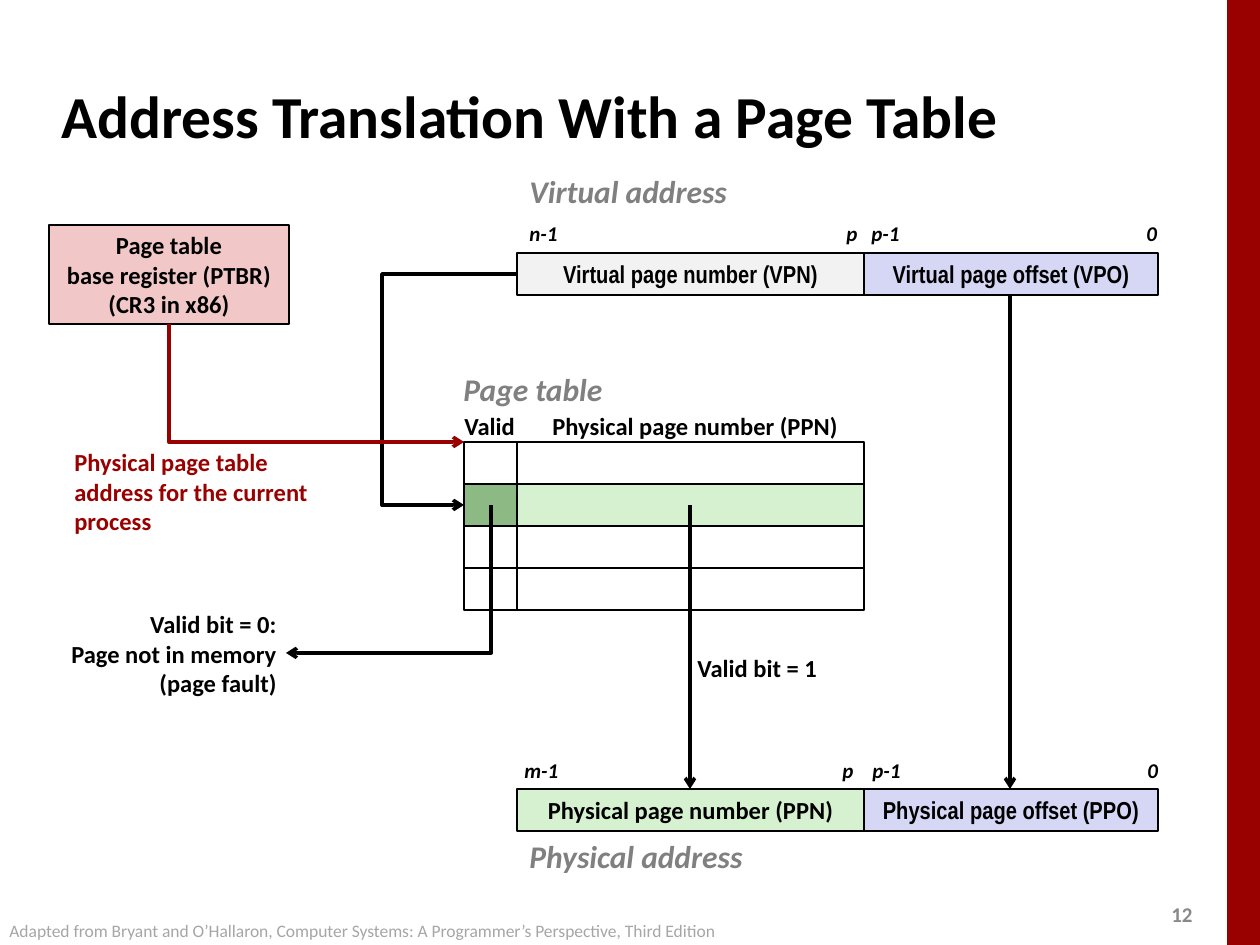
"""Build the slide on address translation with a page table."""
from pptx import Presentation
from pptx import util as u
from pptx.dml.color import RGBColor
from pptx.enum import shapes, text
from pptx.oxml import ns, xmlchemy

PX = 914400 / 126
BLACK, GREY, RED = "000000", "808080", "990000"
GREEN, BLUE = "D5F1CF", "D6D6F5"
LEFT, RIGHT = text.PP_ALIGN.LEFT, text.PP_ALIGN.RIGHT
CENTER = text.PP_ALIGN.CENTER
NARROW = "Arial Narrow"
LEFT_X, MID_X, SPLIT_X, END_X = 464, 517, 864, 1158
ROW_H = 42
TABLE_Y, VIRT_Y, PHYS_Y = 442, 253, 789


def px(num):
    """Turn pixels into EMU."""
    return u.Emu(round(num * PX))


def paint(color, code):
    """Set a colour from a hex string."""
    color.rgb = RGBColor.from_string(code)


def write(frame, lines, size, code=BLACK, align=LEFT, font="Calibri",
          bold=True, slant=False):
    """Write each line as a paragraph with one run."""
    for i, line in enumerate(lines):
        para = frame.paragraphs[0] if i == 0 else frame.add_paragraph()
        para.alignment = align
        run = para.add_run()
        run.text = line
        run.font.name, run.font.size = font, u.Pt(size)
        run.font.bold, run.font.italic = bold, slant
        paint(run.font.color, code)


def label(slide, box, lines, size, **style):
    """Add a text box that does not wrap."""
    frame = slide.shapes.add_textbox(*map(px, box)).text_frame
    frame.word_wrap = False
    write(frame, lines, size, **style)


def rect(slide, box, fill=None, lines=(), edge=BLACK, font="Calibri"):
    """Add a rectangle with centred text."""
    shape = slide.shapes.add_shape(shapes.MSO_SHAPE.RECTANGLE, *map(px, box))
    shape.shadow.inherit = False
    if fill:
        shape.fill.solid()
        paint(shape.fill.fore_color, fill)
    else:
        shape.fill.background()
    if edge:
        paint(shape.line.color, edge)
        shape.line.width = u.Pt(1)
    else:
        shape.line.fill.background()
    shape.text_frame.vertical_anchor = text.MSO_ANCHOR.MIDDLE
    write(shape.text_frame, lines, 14, align=CENTER, font=font)


def arrow(slide, tip, tail, code=BLACK, bend=None, adj=None):
    """Add a straight or bent connector with its arrowhead at the tip."""
    kind = shapes.MSO_CONNECTOR.ELBOW if bend else shapes.MSO_CONNECTOR.STRAIGHT
    line = slide.shapes.add_connector(kind, *map(px, tip + tail))
    paint(line.line.color, code)
    line.line.width = u.Pt(2)
    props = line._element.spPr
    if bend:
        geom = props.find(ns.qn("a:prstGeom"))
        geom.set("prst", bend)
        if adj is not None:
            guide = xmlchemy.OxmlElement("a:gd")
            guide.set("name", "adj1")
            guide.set("fmla", f"val {round(adj * 100000)}")
            geom.find(ns.qn("a:avLst")).append(guide)
    head = xmlchemy.OxmlElement("a:headEnd")
    head.set("type", "arrow")
    props.find(ns.qn("a:ln")).append(head)
    props.append(xmlchemy.OxmlElement("a:effectLst"))


def title(slide, line):
    """Place and format the title."""
    shape = slide.shapes.title
    shape.left, shape.top, shape.width, shape.height = map(
        px, (49, 62, 1046, 105))
    shape.text_frame.vertical_anchor = text.MSO_ANCHOR.MIDDLE
    write(shape.text_frame, [line], 34)


def fields(slide, top, names, fills, fonts):
    """Draw an address as a page number and an offset."""
    edges = (MID_X, SPLIT_X, END_X)
    for x, end, name, fill, font in zip(edges, edges[1:], names, fills, fonts):
        rect(slide, (x, top, end - x, ROW_H), fill, [name], font=font)


def bits(slide, top, marks):
    """Label the bit positions above an address."""
    for x, mark in marks:
        wide = 66 if len(mark) > 1 else 42
        label(slide, (x, top, wide, 38), [mark], 12, slant=True)


def table(slide):
    """Draw the page table rows, the second one selected."""
    for row in range(4):
        y = TABLE_Y + row * ROW_H
        pick = row == 1
        rect(slide, (MID_X, y, SPLIT_X - MID_X, ROW_H), GREEN if pick else None)
        rect(slide, (LEFT_X, y, MID_X - LEFT_X, ROW_H),
             "8DBA84" if pick else None)


def flows(slide):
    """Draw the arrows between the parts."""
    hit_y = TABLE_Y + ROW_H * 3 // 2
    arrow(slide, (LEFT_X, hit_y), (MID_X, VIRT_Y + ROW_H // 2),
          bend="bentConnector3", adj=(382 - LEFT_X) / (MID_X - LEFT_X))
    arrow(slide, (1010, PHYS_Y), (1010, VIRT_Y + ROW_H))
    arrow(slide, (690, PHYS_Y), (690, hit_y))
    arrow(slide, (286, 653), (491, hit_y), bend="bentConnector2")
    arrow(slide, (LEFT_X, TABLE_Y), (169, 324), RED, "bentConnector2")


def main():
    """Build and save the slide."""
    deck = Presentation()
    deck.slide_width, deck.slide_height = px(1260), px(945)
    slide = deck.slides.add_slide(deck.slide_layouts[5])
    rect(slide, (1227, 0, 33, 945), RED, edge=None)
    label(slide, (1159, 895, 50, 38), ["12"], 12, code="898989")
    title(slide, "Address Translation With a Page Table")

    fields(slide, VIRT_Y,
           ("Virtual page number (VPN)", "Virtual page offset (VPO)"),
           ("F2F2F2", BLUE), (NARROW, NARROW))
    fields(slide, PHYS_Y,
           ("Physical page number (PPN)", "Physical page offset (PPO)"),
           (GREEN, BLUE), ("Calibri", NARROW))
    table(slide)
    rect(slide, (49, 225, 240, 99), "F1C7C7",
         ["Page table", "base register (PTBR)", "(CR3 in x86)"])
    flows(slide)

    for x, y, wide, name in ((517, 166, 224, "Virtual address"),
                             (451, 364, 179, "Page table"),
                             (517, 831, 241, "Physical address")):
        label(slide, (x, y, wide, 50), [name], 18, code=GREY, slant=True)
    for x, y, wide, name in ((452, 405, 77, "Valid"),
                             (540, 405, 312, "Physical page number (PPN)"),
                             (685, 647, 147, "Valid bit = 1")):
        label(slide, (x, y, wide, 43), [name], 14)
    label(slide, (62, 441, 262, 102),
          ["Physical page table", "address for the current", "process"],
          14, code=RED)
    label(slide, (55, 603, 234, 102),
          ["Valid bit = 0:", "Page not in memory", "(page fault)"],
          14, align=RIGHT)
    bits(slide, 214, ((517, "n-1"), (834, "p"), (859, "p-1"), (1134, "0")))
    bits(slide, 751, ((512, "m-1"), (830, "p"), (860, "p-1"), (1135, "0")))
    label(slide, (-3, 914, 750, 34),
          ["Adapted from Bryant and O’Hallaron, Computer Systems: "
           "A Programmer’s Perspective, Third Edition"],
          10, code="A6A6A6", bold=False)
    deck.save("out.pptx")


if __name__ == "__main__":
    main()
